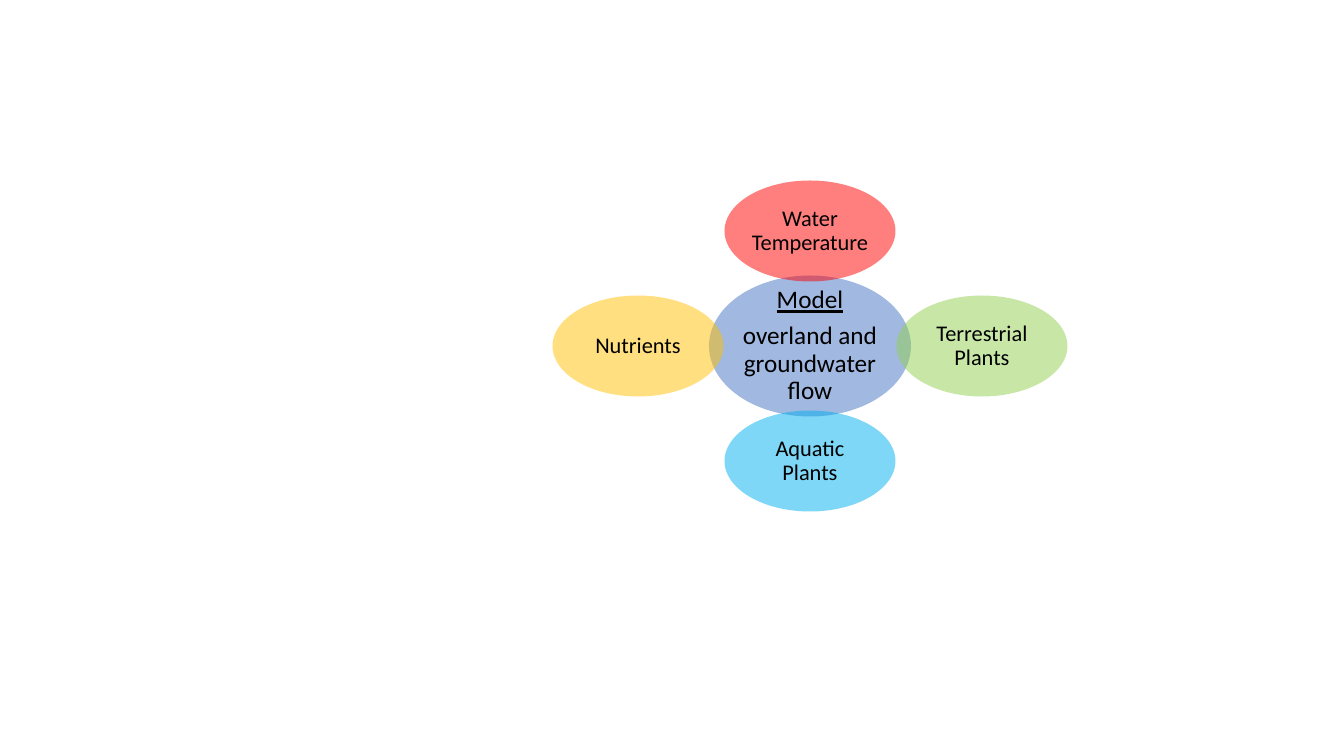
from lxml.etree import SubElement
from pptx import Presentation
from pptx.dml.color import RGBColor
from pptx.enum.shapes import MSO_SHAPE
from pptx.enum.text import MSO_ANCHOR, PP_ALIGN
from pptx.oxml.ns import qn
from pptx.util import Inches, Pt

BLACK = RGBColor(0x00, 0x00, 0x00)
BLUE = RGBColor(0x44, 0x72, 0xC4)
RED = RGBColor(0xFF, 0x00, 0x00)
GREEN = RGBColor(0x92, 0xD0, 0x50)
CYAN = RGBColor(0x00, 0xB0, 0xF0)
YELLOW = RGBColor(0xFF, 0xC0, 0x00)

SCALE = Inches(1) / 100.8
CENTER_X, CENTER_Y = 810, 346
STEP_X, STEP_Y = 172, 115
HUB_SIZE = (202, 141)
SATELLITE_SIZE = (171, 101)


def px(length):
    """Turn pixels into EMU."""
    return round(length * SCALE)


def apply(target, values):
    """Set each named attribute on the target."""
    for name, value in values.items():
        setattr(target, name, value)


class Diagram:
    """Hold the style and the page, and draw labelled ellipses."""

    font_name = "Calibri"
    text_color = BLACK
    alpha = 50000

    def __init__(self, page):
        """Keep the page to draw on."""
        self.page = page

    def ellipse(self, center, size, color, lines, points, inset):
        """Draw a translucent ellipse with centred text."""
        (x, y), (width, height) = center, size
        box = self.page.shapes.add_shape(
            MSO_SHAPE.OVAL, px(x - width / 2), px(y - height / 2), px(width), px(height))
        box.shadow.inherit = False
        box.line.fill.background()
        box.fill.solid()
        box.fill.fore_color.rgb = color
        tint = box.fill._xPr.find(qn("a:solidFill"))[0]
        SubElement(tint, qn("a:alpha"), val=str(self.alpha))
        frame = box.text_frame
        sides = ("left", "top", "right", "bottom")
        apply(frame, {f"margin_{side}": px(inset) for side in sides})
        apply(frame, {"word_wrap": True, "vertical_anchor": MSO_ANCHOR.MIDDLE})
        for index, (text, underline) in enumerate(lines):
            para = frame.add_paragraph() if index else frame.paragraphs[0]
            apply(para, {"alignment": PP_ALIGN.CENTER, "line_spacing": 0.9,
                         "space_after": Pt(points * 0.35)})
            span = para.add_run()
            span.text = text
            apply(span.font, {"name": self.font_name, "size": Pt(points),
                              "underline": underline})
            span.font.color.rgb = self.text_color


deck = Presentation()
apply(deck, {"slide_width": px(1344), "slide_height": px(756)})
diagram = Diagram(deck.slides.add_slide(deck.slide_layouts[6]))

diagram.ellipse((CENTER_X, CENTER_Y), HUB_SIZE, BLUE,
                [("Model", True), ("overland and groundwater flow", False)], 18, 3)

satellites = [
    ("Water Temperature", RED, 0, -1),
    ("Terrestrial Plants", GREEN, 1, 0),
    ("Aquatic Plants", CYAN, 0, 1),
    ("Nutrients", YELLOW, -1, 0),
]
for label, color, across, down in satellites:
    center = (CENTER_X + across * STEP_X, CENTER_Y + down * STEP_Y)
    diagram.ellipse(center, SATELLITE_SIZE, color, [(label, False)], 16, 2)

deck.save("out.pptx")
